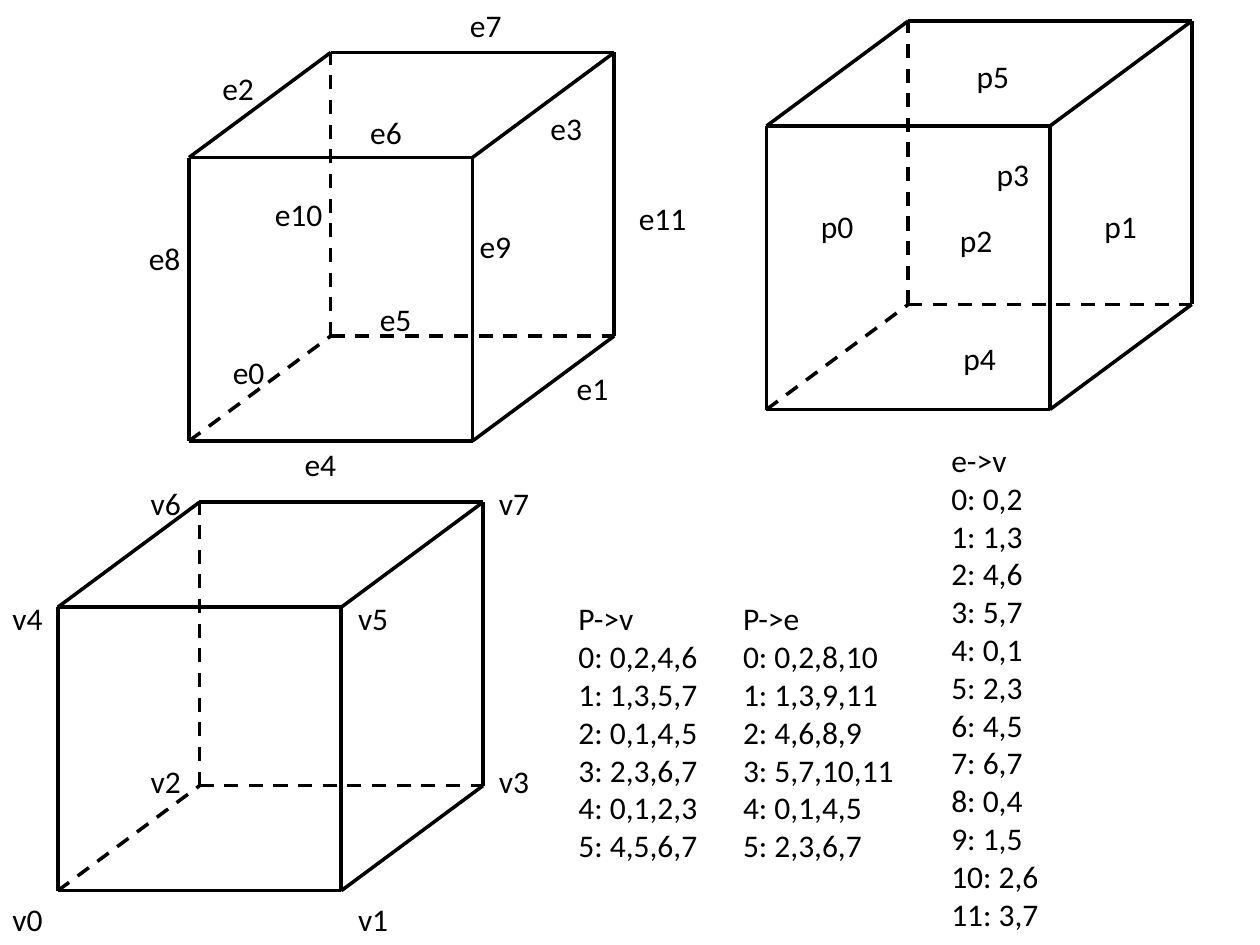
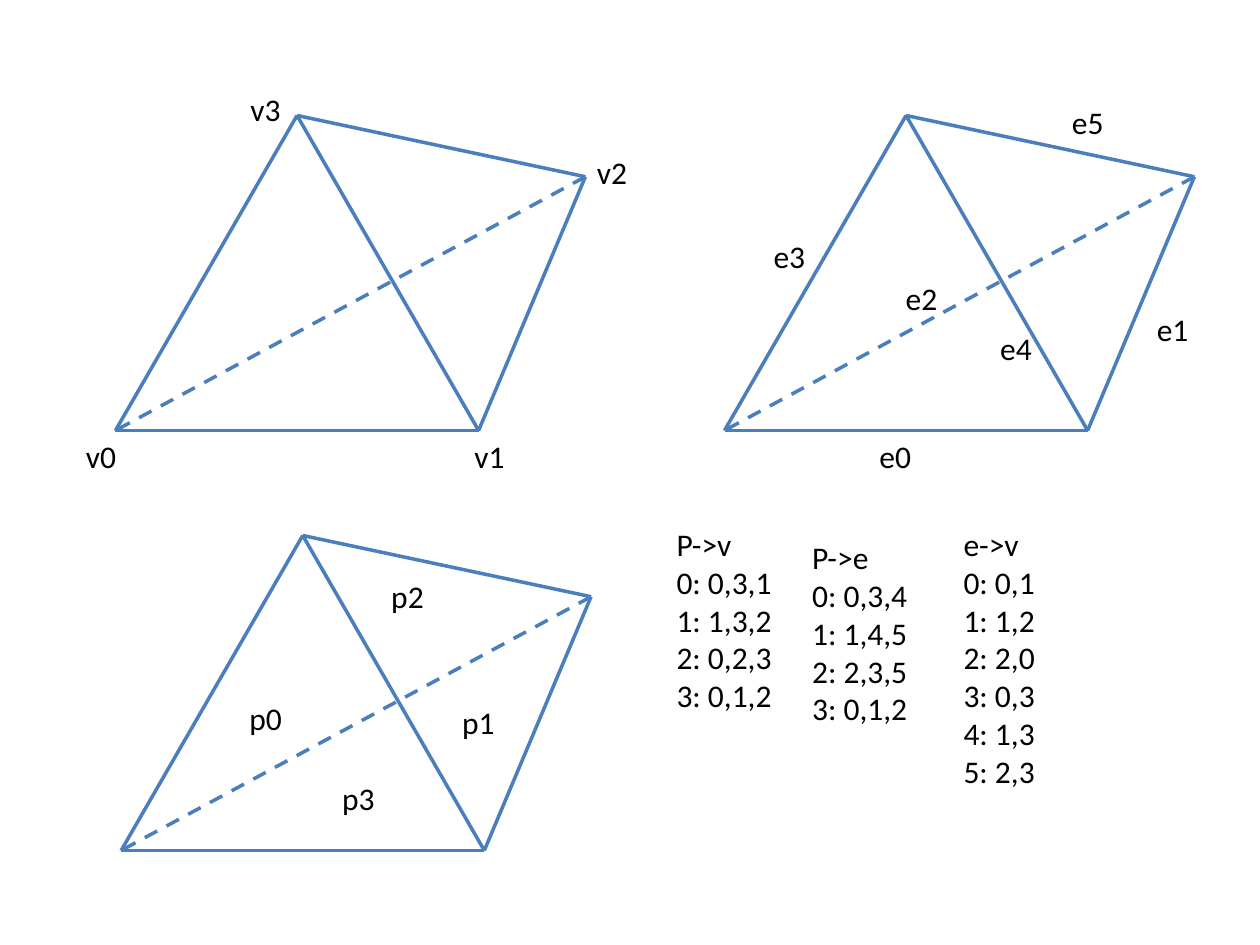
"""Build two slides that number the vertices, edges and faces of a cube and a tetrahedron."""
from dataclasses import dataclass
from typing import NamedTuple

import lxml.etree
import pptx
import pptx.dml.color
import pptx.enum.dml
import pptx.enum.shapes
import pptx.enum.text
import pptx.oxml.ns
import pptx.util

COLOURS = {"text": "000000", "cube": "000000", "tetrahedron": "4B7EBC"}
FONT = "Calibri"
FONT_SIZE = 18
LINE_WIDTH = 2
LINE_HEIGHT = 21.82
FRAME_MARGINS = 7.2
BLANK_LAYOUT = 6


class Label(NamedTuple):
    """A short name and the top left corner of its box."""
    text: str
    left: float
    top: float


class Listing(NamedTuple):
    """A headed list of numbered index rows."""
    heading: str
    rows: list[tuple[int, ...]]
    left: float
    top: float
    width: float


@dataclass
class Solid:
    """A wireframe: vertex offsets, edges between them and the hidden edges."""
    colour: str
    vertices: list[tuple[float, float]]
    edges: list[tuple[int, int]]
    hidden: set[int]


@dataclass
class Page:
    """One slide: a solid drawn at several origins, with labels and listings."""
    solid: Solid
    origins: list[tuple[float, float]]
    labels: list[Label]
    listings: list[Listing]


def rgb(name: str) -> pptx.dml.color.RGBColor:
    """Look up a named colour."""
    return pptx.dml.color.RGBColor.from_string(COLOURS[name])


def draw_solid(slide, solid: Solid, origin: tuple[float, float]) -> None:
    """Draw a solid as a group of connectors, hidden edges dashed."""
    group = slide.shapes.add_group_shape()
    points = [
        (pptx.util.Pt(origin[0] + x), pptx.util.Pt(origin[1] + y))
        for x, y in solid.vertices
    ]
    for number, (start, end) in enumerate(solid.edges):
        connector = group.shapes.add_connector(
            pptx.enum.shapes.MSO_CONNECTOR.STRAIGHT, *points[start], *points[end]
        )
        connector.line.color.rgb = rgb(solid.colour)
        connector.line.width = pptx.util.Pt(LINE_WIDTH)
        if number in solid.hidden:
            connector.line.dash_style = pptx.enum.dml.MSO_LINE.DASH
        properties = connector._element.spPr
        lxml.etree.SubElement(properties, pptx.oxml.ns.qn("a:effectLst"))


def draw_text(slide, lines: list[str], left: float, top: float, width: float) -> None:
    """Add an unwrapped text box with one paragraph per line."""
    height = LINE_HEIGHT * len(lines) + FRAME_MARGINS
    box = slide.shapes.add_textbox(*map(pptx.util.Pt, (left, top, width, height)))
    text_frame = box.text_frame
    text_frame.text = "\n".join(lines)
    text_frame.word_wrap = False
    text_frame.auto_size = pptx.enum.text.MSO_AUTO_SIZE.SHAPE_TO_FIT_TEXT
    for paragraph in text_frame.paragraphs:
        for run in paragraph.runs:
            run.font.name = FONT
            run.font.size = pptx.util.Pt(FONT_SIZE)
            run.font.color.rgb = rgb("text")


def draw_label(slide, label: Label) -> None:
    """Add a label, its box as wide as its text needs."""
    width = 42 if len(label.text) > 2 else 32 if label.text.startswith("v") else 33
    draw_text(slide, [label.text], label.left, label.top, width)


def draw_listing(slide, listing: Listing) -> None:
    """Add a heading followed by the numbered rows."""
    rows = [
        f"{number}: {','.join(map(str, row))}"
        for number, row in enumerate(listing.rows)
    ]
    draw_text(slide, [listing.heading, *rows], listing.left, listing.top, listing.width)


def draw_page(presentation, page: Page) -> None:
    """Add one slide with everything on the page."""
    slide = presentation.slides.add_slide(presentation.slide_layouts[BLANK_LAYOUT])
    for origin in page.origins:
        draw_solid(slide, page.solid, origin)
    for label in page.labels:
        draw_label(slide, label)
    for listing in page.listings:
        draw_listing(slide, listing)


SIDE, DEPTH_X, DEPTH_Y = 162, 81, 60

# Offsets run from the front bottom left vertex, v0.
CUBE = Solid(
    "cube",
    [
        (right * SIDE + back * DEPTH_X, -up * SIDE - back * DEPTH_Y)
        for up in (0, 1) for back in (0, 1) for right in (0, 1)
    ],
    [
        (0, 2), (1, 3), (4, 6), (5, 7),
        (0, 1), (2, 3), (4, 5), (6, 7),
        (0, 4), (1, 5), (2, 6), (3, 7),
    ],
    {0, 5, 10},
)
TETRAHEDRON = Solid(
    "tetrahedron",
    [(0, 0), (207.5, 0), (268.5, -145), (103.75, -180)],
    [(0, 1), (1, 2), (2, 0), (0, 3), (1, 3), (2, 3)],
    {2},
)

CUBE_PAGE = Page(
    CUBE,
    [(108, 252), (33, 509), (438, 234)],
    [
        Label("v0", 0, 510.5), Label("v1", 197.5, 510.5),
        Label("v2", 79, 432), Label("v3", 278, 432),
        Label("v4", 0, 339), Label("v5", 197.5, 339),
        Label("v6", 79, 273), Label("v7", 278, 273),
        Label("e0", 126, 198), Label("e1", 322.5, 207.5),
        Label("e2", 120, 36), Label("e3", 307.5, 58.5),
        Label("e4", 167, 251), Label("e5", 210, 168),
        Label("e6", 204.5, 61), Label("e7", 261.5, 0),
        Label("e8", 78, 133), Label("e9", 267, 126),
        Label("e10", 150, 108), Label("e11", 358, 110),
        Label("p0", 462, 115), Label("p1", 624, 115),
        Label("p2", 541.5, 123), Label("p3", 562.5, 85),
        Label("p4", 543.5, 190), Label("p5", 551, 29),
    ],
    [
        Listing("P->v", [
            (0, 2, 4, 6), (1, 3, 5, 7), (0, 1, 4, 5),
            (2, 3, 6, 7), (0, 1, 2, 3), (4, 5, 6, 7),
        ], 323.5, 339, 83.5),
        Listing("P->e", [
            (0, 2, 8, 10), (1, 3, 9, 11), (4, 6, 8, 9),
            (5, 7, 10, 11), (0, 1, 4, 5), (2, 3, 6, 7),
        ], 417.5, 339, 101.5),
        Listing("e->v", CUBE.edges, 536.5, 248.5, 65),
    ],
)
TETRAHEDRON_PAGE = Page(
    TETRAHEDRON,
    [(66, 246), (69.25, 486), (414, 246)],
    [
        Label("v0", 42, 246), Label("v1", 264, 246),
        Label("v2", 334, 84), Label("v3", 136, 48),
        Label("p0", 135.5, 396), Label("p1", 257, 398),
        Label("p2", 216.5, 326), Label("p3", 188.5, 441.5),
        Label("e0", 495.5, 246), Label("e1", 654, 173.5),
        Label("e2", 510.5, 156), Label("e3", 435, 132),
        Label("e4", 564.5, 184.5), Label("e5", 605.5, 55.5),
    ],
    [
        Listing("P->v", [(0, 3, 1), (1, 3, 2), (0, 2, 3), (0, 1, 2)], 379.5, 296.5, 70),
        Listing("P->e", [(0, 3, 4), (1, 4, 5), (2, 3, 5), (0, 1, 2)], 457, 304, 70),
        Listing("e->v", TETRAHEDRON.edges, 543.5, 296.5, 70),
    ],
)


def main() -> None:
    """Build and save the presentation."""
    presentation = pptx.Presentation()
    presentation.slide_width = pptx.util.Pt(720)
    presentation.slide_height = pptx.util.Pt(540)
    for page in (CUBE_PAGE, TETRAHEDRON_PAGE):
        draw_page(presentation, page)
    presentation.save("out.pptx")


main()
